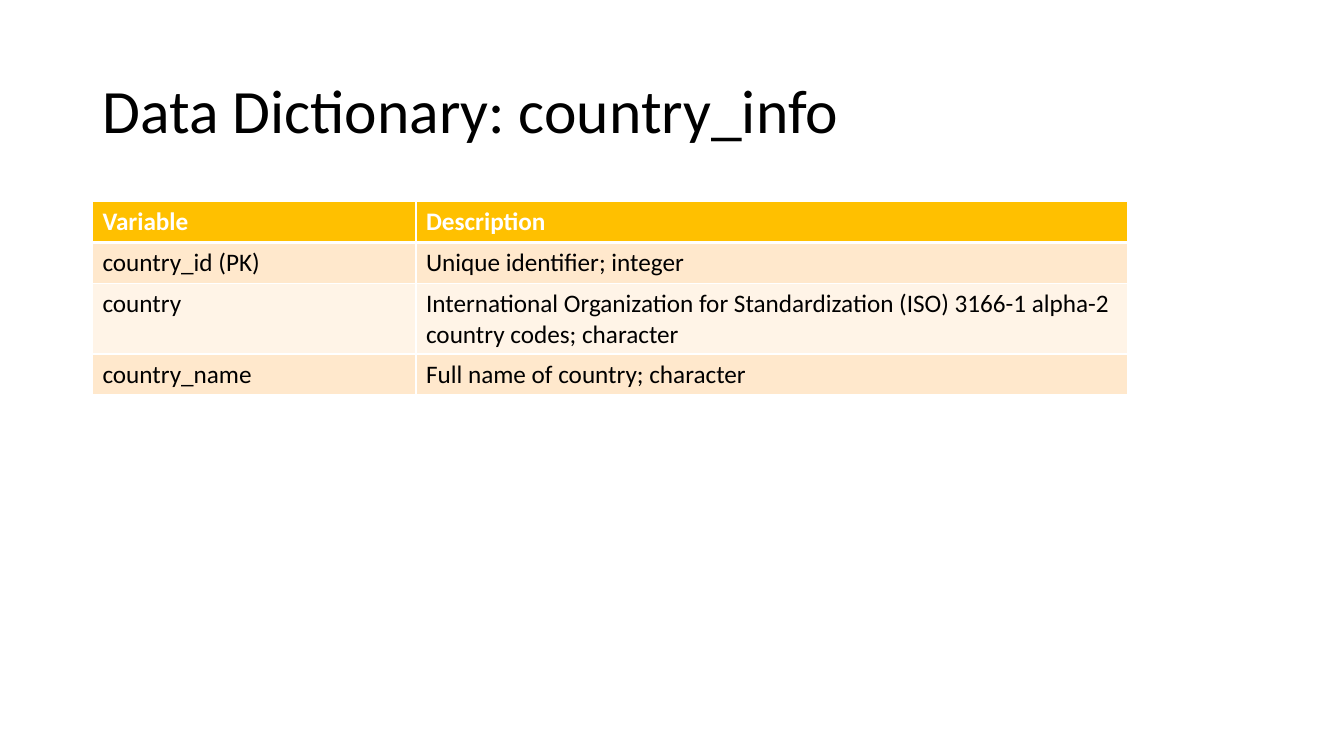
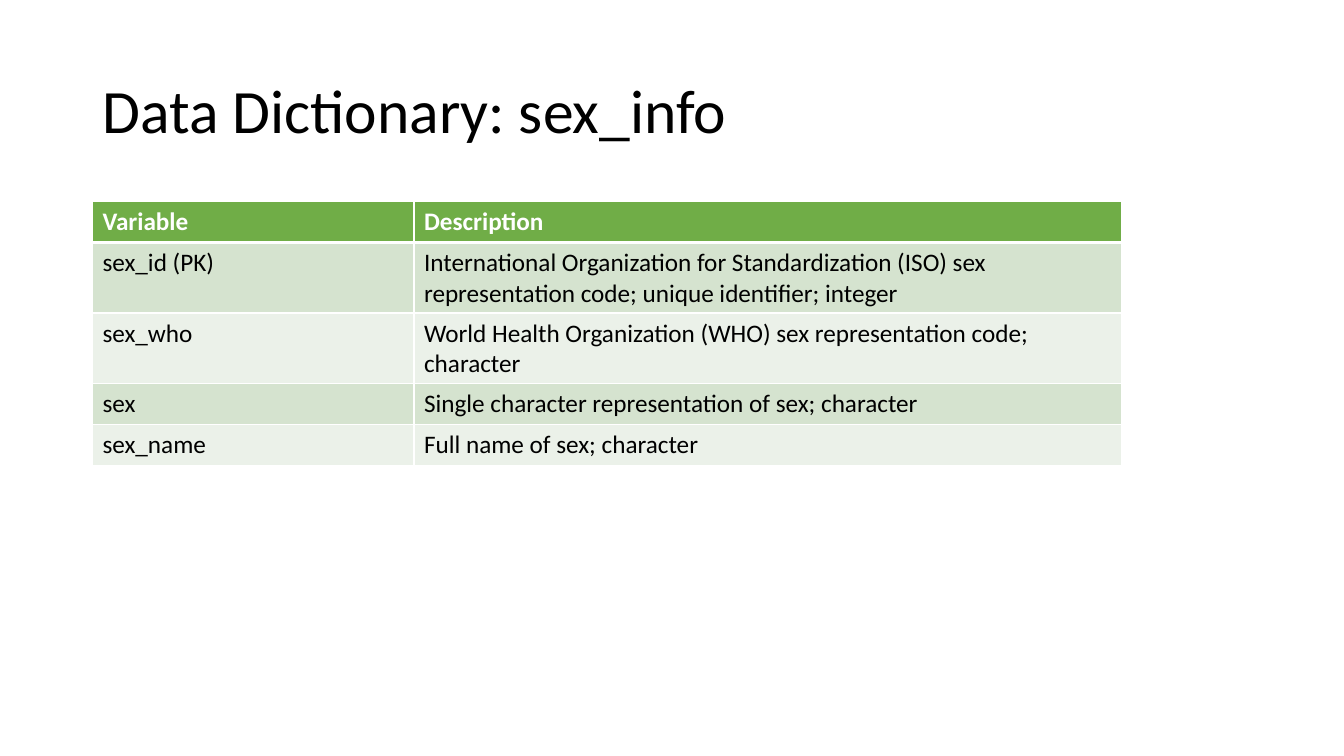
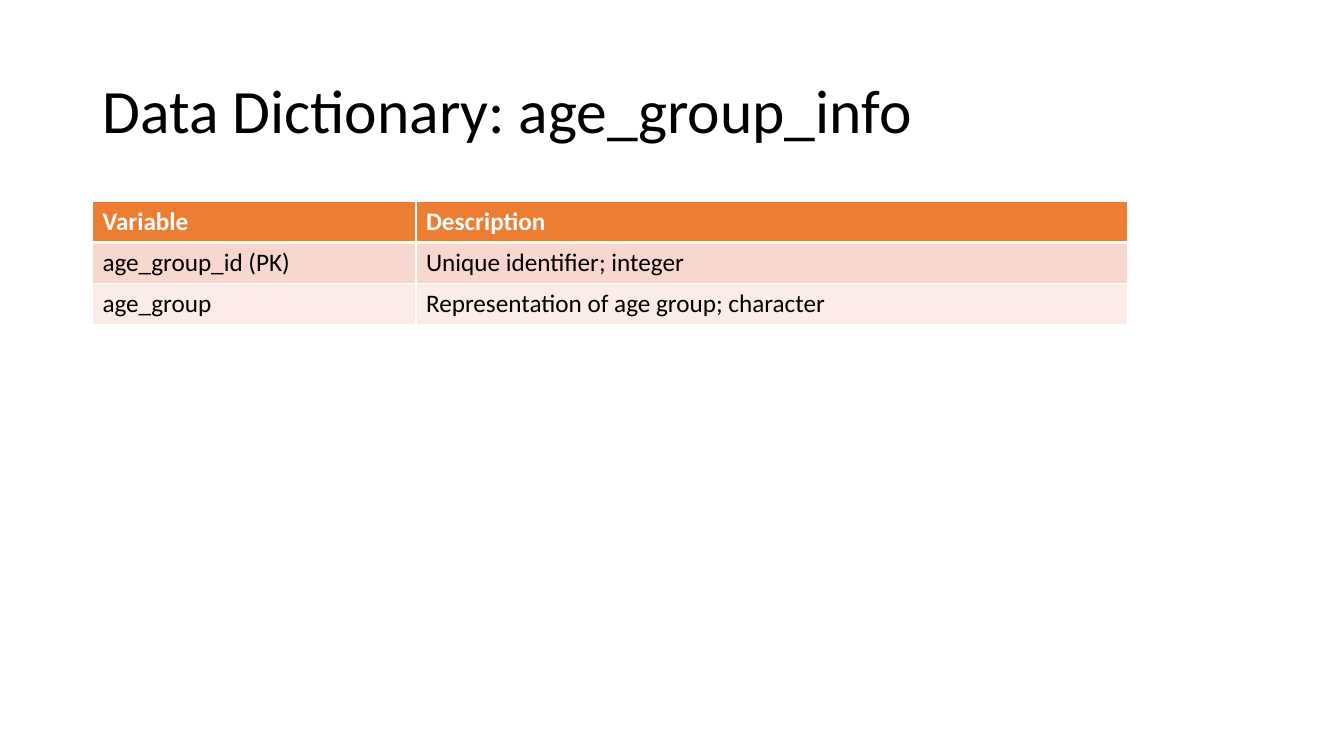
from lxml import etree
from pptx import Presentation
from pptx import util as u
from pptx.dml import color
from pptx.enum import text
from pptx.oxml import ns

# Shared style
FONT = "Calibri"
BLACK, WHITE = "000000", "FFFFFF"
SLIDE_SIZE = (33.87, 19.05)
TITLE_BOX = (2.33, 1.01, 29.21, 3.68)
TABLE_LEFT, TABLE_TOP = 2.33, 5.08
ROW_HEIGHT = 1.03
VARIABLE_SHARE = 5 / 16
THIN, THICK = 1, 3
HEADER = ("Variable", "Description")

# Title, table width, (header, odd row, even row) fills, rows
DICTIONARIES = [
    ("country_info", 26.09, ("FFC000", "FFE8CC", "FFF4E7"), [
        ("country_id (PK)", "Unique identifier; integer"),
        ("country", "International Organization for Standardization (ISO) "
                    "3166-1 alpha-2 country codes; character"),
        ("country_name", "Full name of country; character"),
    ]),
    ("sex_info", 25.93, ("70AD47", "D5E3CF", "EBF1E9"), [
        ("sex_id (PK)", "International Organization for Standardization (ISO) sex "
                        "representation code; unique identifier; integer"),
        ("sex_who", "World Health Organization (WHO) sex representation code; character"),
        ("sex", "Single character representation of sex; character"),
        ("sex_name", "Full name of sex; character"),
    ]),
    ("age_group_info", 26.09, ("ED7D31", "F8D7CE", "FCECE8"), [
        ("age_group_id (PK)", "Unique identifier; integer"),
        ("age_group", "Representation of age group; character"),
    ]),
]


def paint(target, hex_color):
    """Colour a font, or fill a cell."""
    if hasattr(target, "fore_color"):
        target.solid()
        target = target.fore_color
    elif hasattr(target, "solid"):
        target.solid()
        target = target.fore_color
    else:
        target = target.color
    target.rgb = color.RGBColor.from_string(hex_color)


def add_span(para, words, size, hex_color, bold=False):
    span = para.add_run()
    span.text = words
    span.font.name = FONT
    span.font.size = u.Pt(size)
    span.font.bold = bold
    span.font.color.rgb = color.RGBColor.from_string(hex_color)


def set_borders(cell, top, bottom):
    """Draw white cell borders; line elements go before the fill."""
    props = cell._tc.get_or_add_tcPr()
    widths = {"lnL": THIN, "lnR": THIN, "lnT": top, "lnB": bottom}
    for place, (side, width) in enumerate(widths.items()):
        line = etree.Element(ns.qn(f"a:{side}"), w=str(u.Pt(width)))
        fill = etree.SubElement(line, ns.qn("a:solidFill"))
        etree.SubElement(fill, ns.qn("a:srgbClr"), val=WHITE)
        props.insert(place, line)


def add_title(page, words, box):
    frame = page.shapes.add_textbox(*map(u.Cm, box)).text_frame
    frame.word_wrap = True
    frame.vertical_anchor = text.MSO_ANCHOR.MIDDLE
    para = frame.paragraphs[0]
    para.line_spacing = 0.9
    add_span(para, words, 44, BLACK)


def add_dictionary_table(page, rows, fills, left, top, width):
    rows = [HEADER, *rows]
    box = (left, top, width, ROW_HEIGHT * len(rows))
    table = page.shapes.add_table(len(rows), len(HEADER), *map(u.Cm, box)).table
    for column, share in zip(table.columns, (VARIABLE_SHARE, 1 - VARIABLE_SHARE)):
        column.width = u.Cm(width * share)

    header_fill, *bands = fills
    for r, row in enumerate(rows):
        table.rows[r].height = u.Cm(ROW_HEIGHT)
        is_header = r == 0
        for c, words in enumerate(row):
            cell = table.cell(r, c)
            cell.fill.solid()
            cell.fill.fore_color.rgb = color.RGBColor.from_string(
                header_fill if is_header else bands[(r - 1) % 2])
            # The header is set off by a thick rule
            set_borders(cell, top=THICK if r == 1 else THIN,
                        bottom=THICK if is_header else THIN)
            add_span(cell.text_frame.paragraphs[0], words, 18,
                     WHITE if is_header else BLACK, bold=is_header)


def add_dictionary_page(deck, name, width, fills, rows):
    page = deck.slides.add_slide(deck.slide_layouts[6])
    add_title(page, f"Data Dictionary: {name}", TITLE_BOX)
    add_dictionary_table(page, rows, fills, TABLE_LEFT, TABLE_TOP, width)


def main():
    deck = Presentation()
    deck.slide_width, deck.slide_height = map(u.Cm, SLIDE_SIZE)
    for dictionary in DICTIONARIES:
        add_dictionary_page(deck, *dictionary)
    deck.save("out.pptx")


if __name__ == "__main__":
    main()
